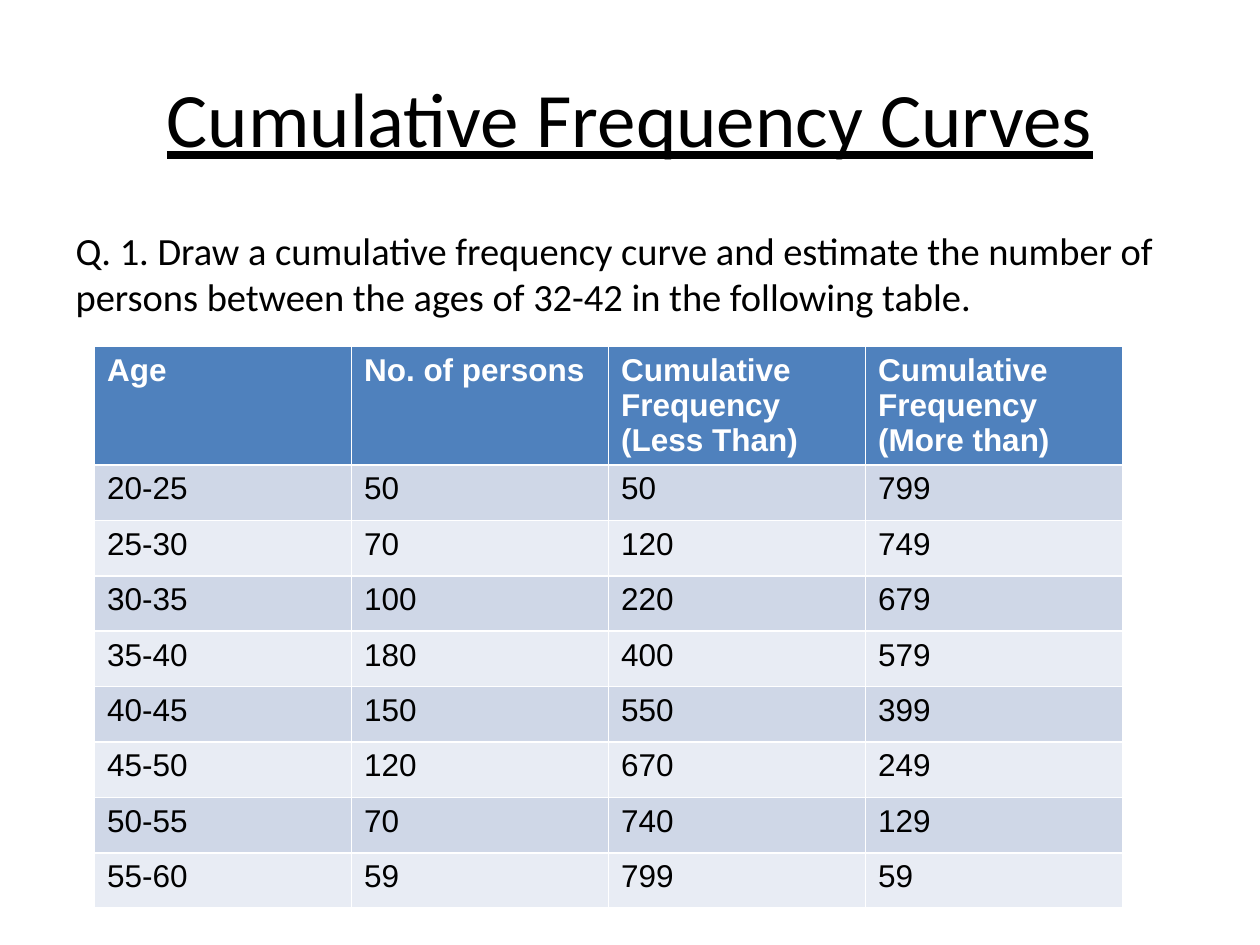
from itertools import accumulate

from lxml import etree
from pptx import Presentation
from pptx.dml.color import RGBColor
from pptx.enum import text
from pptx.oxml import ns
from pptx.util import Inches, Pt

BLACK = RGBColor(0x00, 0x00, 0x00)
WHITE = RGBColor(0xFF, 0xFF, 0xFF)
HEADER_BLUE = RGBColor(0x4F, 0x81, 0xBD)
BANDS = (RGBColor(0xCF, 0xD7, 0xE7), RGBColor(0xE8, 0xEC, 0xF4))

HEADINGS = (
    "Age",
    "No. of persons",
    "Cumulative Frequency (Less Than)",
    "Cumulative Frequency (More than)",
)
FIRST_AGE, AGE_STEP = 20, 5
PERSONS = (50, 70, 100, 180, 150, 120, 70, 59)


def add_span(para, words, font, size, color):
    """Add one formatted run to a paragraph and return it."""
    span = para.add_run()
    span.text = words
    span.font.name = font
    span.font.size = Pt(size)
    span.font.color.rgb = color
    return span


def place(shape, left, top, width, height):
    """Move a placeholder to the given box."""
    shape.left, shape.top = left, top
    shape.width, shape.height = width, height
    shape.text_frame.auto_size = text.MSO_AUTO_SIZE.NONE


def fill_title(title, left, top, width, height):
    """Write the underlined slide title."""
    place(title, left, top, width, height)
    title.text_frame.vertical_anchor = text.MSO_ANCHOR.MIDDLE
    para = title.text_frame.paragraphs[0]
    para.alignment = text.PP_ALIGN.CENTER
    span = add_span(para, "Cumulative Frequency Curves", "Calibri", 44, BLACK)
    span.font.underline = True


def fill_question(body, left, top, width, height):
    """Write the exercise question without a bullet."""
    place(body, left, top, width, height)
    para = body.text_frame.paragraphs[0]
    para.space_before = Pt(0)
    properties = para._p.get_or_add_pPr()
    properties.set("marL", "0")
    properties.set("indent", "0")
    etree.SubElement(properties, ns.qn("a:buNone"))
    add_span(
        para,
        "Q. 1. Draw a cumulative frequency curve and estimate the number of "
        "persons between the ages of 32-42 in the following table.",
        "Calibri", 22, BLACK,
    )


def frequency_rows():
    """Return the heading row and one row for each age group."""
    rows = [HEADINGS]
    total = sum(PERSONS)
    for index, (count, less) in enumerate(zip(PERSONS, accumulate(PERSONS))):
        age = FIRST_AGE + index * AGE_STEP
        more = total - less + count
        rows.append((f"{age}-{age + AGE_STEP}", str(count), str(less), str(more)))
    return rows


def add_frequency_table(slide, left, top, width, header_height, row_height):
    """Add the banded table of cumulative frequencies."""
    rows = frequency_rows()
    height = header_height + row_height * len(PERSONS)
    frame = slide.shapes.add_table(
        len(rows), len(HEADINGS), left, top, width, height)
    table = frame.table
    for row_index, values in enumerate(rows):
        is_header = row_index == 0
        table.rows[row_index].height = header_height if is_header else row_height
        for column, value in enumerate(values):
            cell = table.cell(row_index, column)
            cell.fill.solid()
            cell.fill.fore_color.rgb = (
                HEADER_BLUE if is_header else BANDS[(row_index - 1) % 2])
            span = add_span(
                cell.text_frame.paragraphs[0], value, "Arial", 18,
                WHITE if is_header else BLACK)
            span.font.bold = is_header


def main():
    """Build and save the slide."""
    deck = Presentation()
    deck.slide_width, deck.slide_height = Inches(10), Inches(7.5)
    page = deck.slides.add_slide(deck.slide_layouts[1])
    fill_title(page.shapes.title,
               Inches(0.5), Inches(0.3), Inches(9), Inches(1.25))
    fill_question(page.placeholders[1],
                  Inches(0.5), Inches(1.75), Inches(9), Inches(4.95))
    add_frequency_table(page, Inches(0.75), Inches(2.75), Inches(8.16),
                        Inches(0.93), Inches(0.44))
    deck.save("out.pptx")


if __name__ == "__main__":
    main()
